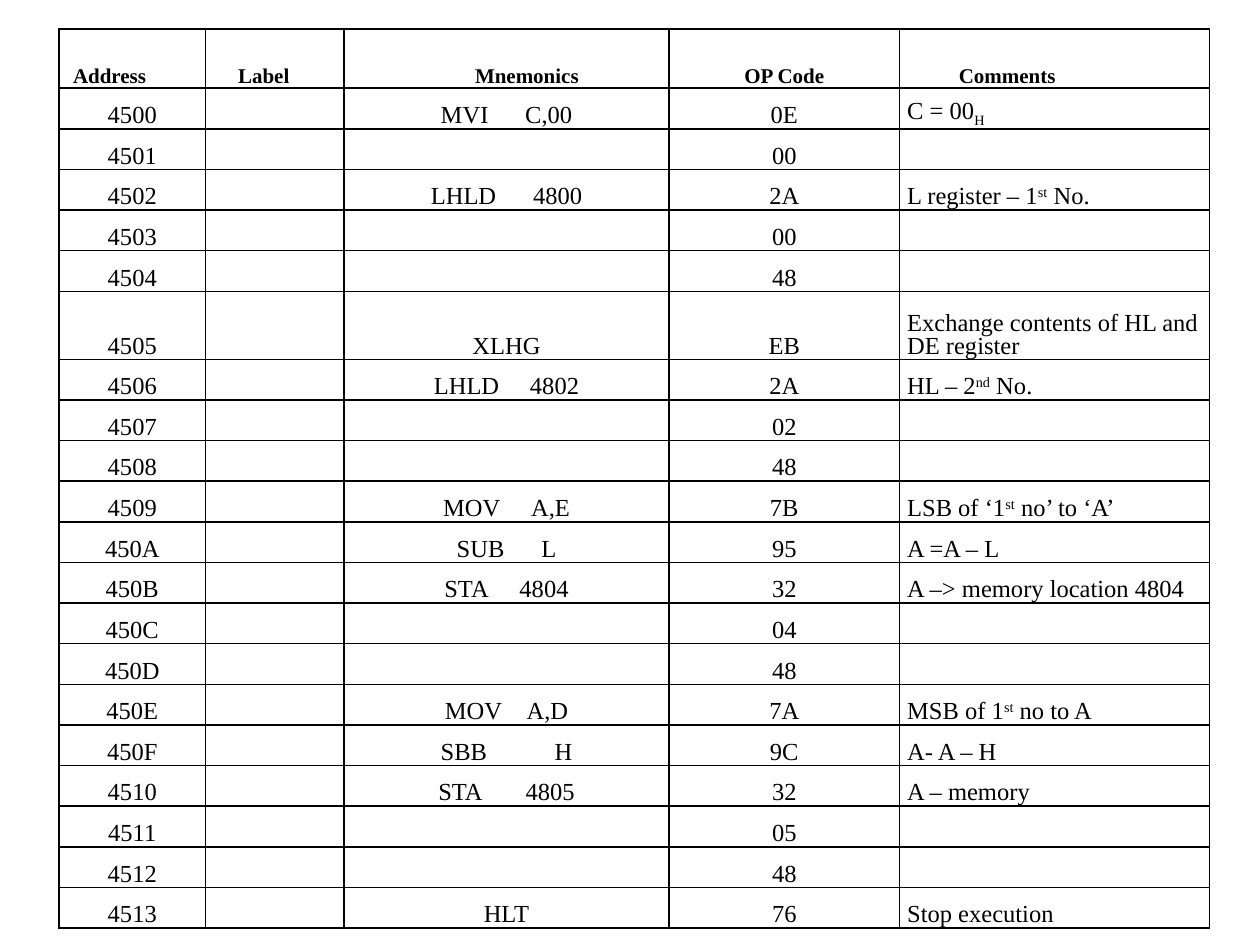
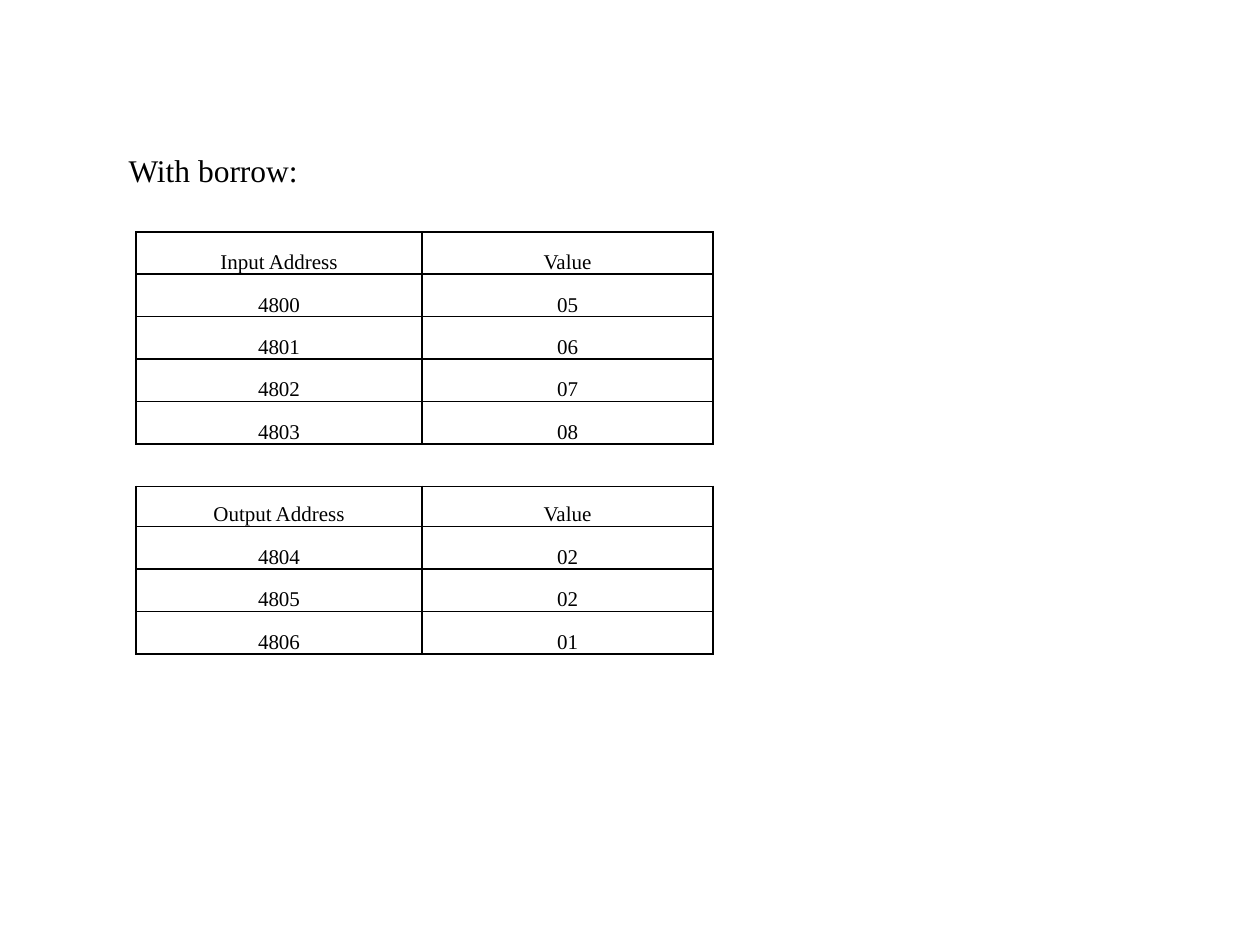
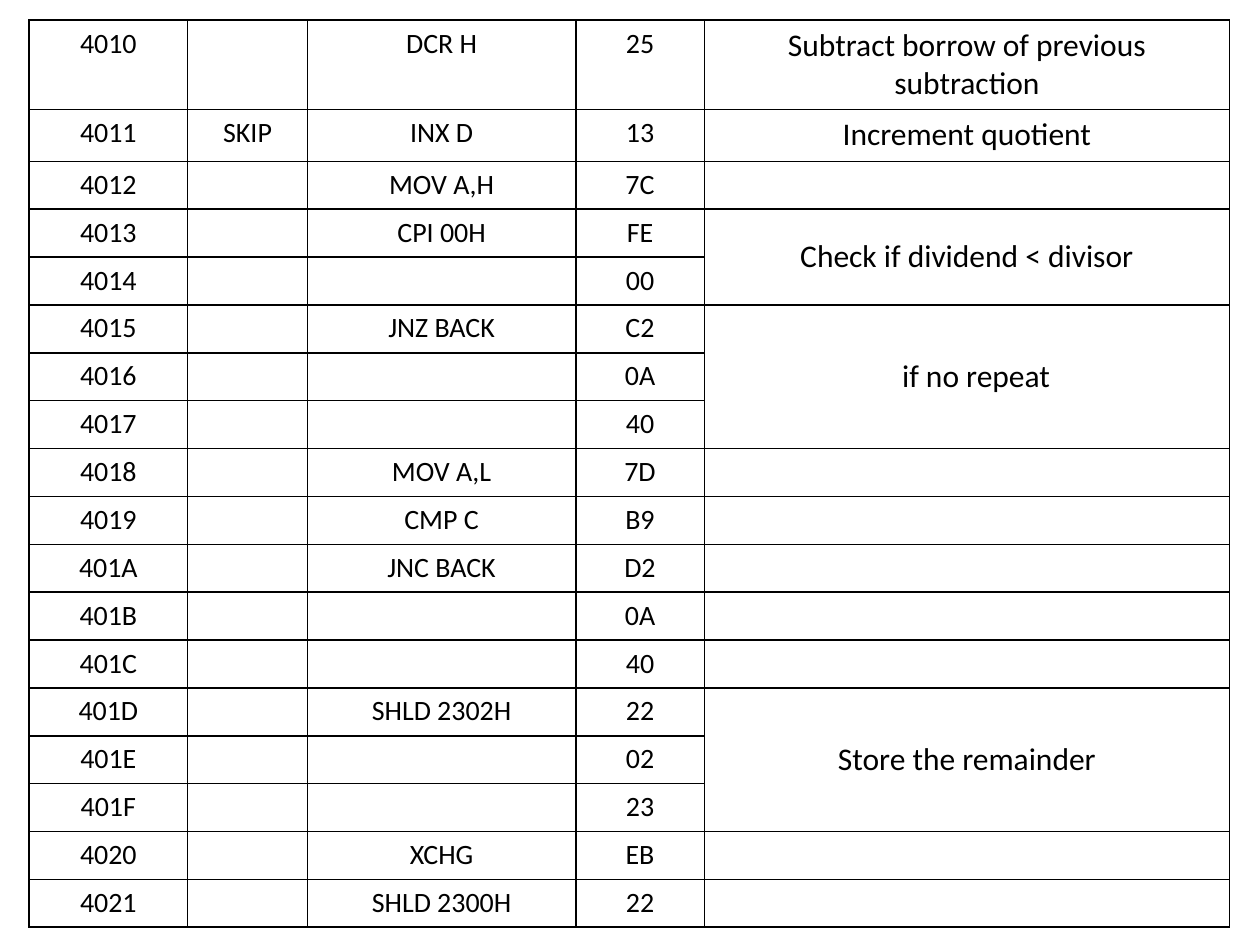
from dataclasses import dataclass, replace
from lxml.etree import SubElement
from pptx import Presentation
from pptx.dml.color import RGBColor
from pptx.enum.text import MSO_ANCHOR as Anchor, PP_ALIGN as Align
from pptx.oxml.ns import qn
from pptx.util import Inches, Pt

INK = "000000"
NO_GRID = "{2D5ABB26-0587-4C30-8999-92F81FD0307C}"
MARKS = {"^": "30000", "_": "-25000"}


@dataclass
class Look:
    """Text style of a table cell."""
    face: str = "Times New Roman"
    size: int = 14
    bold: bool = False
    align: Align = Align.CENTER
    indent: float = 0
    lead: object = Pt(13)
    anchor: Anchor = Anchor.BOTTOM
    pad: tuple = (0, 0, 0, 0)


BODY = Look()
NOTE = replace(BODY, align=Align.LEFT, indent=0.06)
HEAD = replace(BODY, size=12, bold=True, lead=1.15)
SMALL = replace(BODY, size=12)
TITLE = Look(size=18, align=Align.LEFT, lead=1.15, pad=(0, 0, 0, 0.34))
PLAIN = Look("Calibri", 16, lead=None, anchor=Anchor.TOP, pad=(0.1, 0.05, 0.1, 0.05))
LARGE = replace(PLAIN, size=18)

HEADS = [("Address", 0.11), ("Label", 0.26), ("Mnemonics", 1.04),
         ("OP Code", None), ("Comments", 0.47)]
BORROW = [
    ("MVI C,00", 6, "0E", "C = 00_H"), ("", 1, "00", ""),
    ("LHLD 4800", 6, "2A", "L register – 1^st^ No."), ("", 1, "00", ""),
    ("", 1, "48", ""),
    ("XLHG", 1, "EB", "Exchange contents of HL and DE register"),
    ("LHLD 4802", 5, "2A", "HL – 2^nd^ No."), ("", 1, "02", ""),
    ("", 1, "48", ""), ("MOV A,E", 5, "7B", "LSB of ‘1^st^ no’ to ‘A’"),
    ("SUB L", 6, "95", "A =A – L"),
    ("STA 4804", 5, "32", "A –> memory location 4804"),
    ("", 1, "04", ""), ("", 1, "48", ""),
    ("MOV A,D", 4, "7A", "MSB of 1^st^ no to A"),
    ("SBB H", 11, "9C", "A- A – H"), ("STA 4805", 7, "32", "A – memory"),
    ("", 1, "05", ""), ("", 1, "48", ""), ("HLT", 1, "76", "Stop execution"),
]
INPUT = [("Input Address", "Value"), ("4800", "05"), ("4801", "06"),
         ("4802", "07"), ("4803", "08")]
OUTPUT = [("Output Address", "Value"), ("4804", "02"), ("4805", "02"),
          ("4806", "01")]
DIVIDE = [
    ("", "DCR H", "25"), ("SKIP", "INX D", "13"), ("", "MOV A,H", "7C"),
    ("", "CPI 00H", "FE"), ("", "", "00"), ("", "JNZ BACK", "C2"),
    ("", "", "0A"), ("", "", "40"), ("", "MOV A,L", "7D"),
    ("", "CMP C", "B9"), ("", "JNC BACK", "D2"), ("", "", "0A"),
    ("", "", "40"), ("", "SHLD 2302H", "22"), ("", "", "02"),
    ("", "", "23"), ("", "XCHG", "EB"), ("", "SHLD 2300H", "22"),
]
REMARKS = {
    0: ("Subtract borrow of previous subtraction", 1),
    1: ("Increment quotient", 1),
    3: ("Check if dividend < divisor", 2),
    5: ("if no repeat", 3),
    13: ("Store the remainder", 3),
}


def paint(text):
    """Turn a hex string into a colour."""
    return RGBColor.from_string(text)


def split(text, gap, size):
    """Cut text into runs with the attributes that set each one apart."""
    for mark, base in MARKS.items():
        if mark in text:
            return [(part, {"baseline": base} if i % 2 else {})
                    for i, part in enumerate(text.split(mark)) if part]
    if gap > 1:
        left, right = text.split(" ")
        wide = str((gap - 1) * size * 25)
        return [(left, {}), (" ", {"spc": wide}), (right, {})]
    return [(text, {})]


def write(cell, text, look, gap=1):
    """Put styled text into a cell."""
    cell.vertical_anchor = look.anchor
    (cell.margin_left, cell.margin_top, cell.margin_right,
     cell.margin_bottom) = map(Inches, look.pad)
    para = cell.text_frame.paragraphs[0]
    para.alignment = look.align
    if look.lead:
        para.line_spacing = look.lead
    if look.indent:
        props = para._p.get_or_add_pPr()
        props.set("marL", str(Inches(look.indent)))
        props.set("indent", "0")
    if not text:
        SubElement(para._p, qn("a:endParaRPr"), sz=str(look.size * 100))
        return
    for part, extra in split(text, gap, look.size):
        run = para.add_run()
        run.text = part
        font = run.font
        font.name, font.size, font.bold = look.face, Pt(look.size), look.bold
        font.color.rgb = paint(INK)
        for key, value in extra.items():
            font._element.set(key, value)


def frame(cell):
    """Draw the four borders of a cell."""
    props = cell._tc.get_or_add_tcPr()
    for i, side in enumerate("LRTB"):
        line = props.makeelement(qn("a:ln" + side), {"w": str(Pt(1))})
        props.insert(i, line)
        fill = SubElement(line, qn("a:solidFill"))
        SubElement(fill, qn("a:srgbClr"), val=INK)


def grid(slide, left, top, cols, rows, boxed=lambda row, col: True):
    """Add a clear table and border the cells that are boxed."""
    shape = slide.shapes.add_table(
        len(rows), len(cols), Inches(left), Inches(top),
        Inches(sum(cols)), Inches(sum(rows)))
    table = shape.table
    table.first_row = table.horz_banding = False
    table._tbl.tblPr.find(qn("a:tableStyleId")).text = NO_GRID
    for col, width in zip(table.columns, cols):
        col.width = Inches(width)
    for r, high in enumerate(rows):
        table.rows[r].height = Inches(high)
        for c in range(len(cols)):
            cell = table.cell(r, c)
            cell.fill.background()
            if boxed(r, c):
                frame(cell)
    return table


def code_page(slide, left, top, high):
    """Build the subtraction listing."""
    step = (high - 0.47 - 0.54) / (len(BORROW) - 1)
    rows = [0.47] + [step] * len(BORROW)
    rows[6] = 0.54
    table = grid(slide, left, top, [1.16, 1.1, 2.58, 1.83, 2.46], rows)
    for c, (text, indent) in enumerate(HEADS):
        look = HEAD if indent is None else replace(
            HEAD, align=Align.LEFT, indent=indent)
        write(table.cell(0, c), text, look)
    for r, (code, gap, byte, note) in enumerate(BORROW, 1):
        values = [f"{0x44FF + r:04X}", "", code, byte, note]
        for c, text in enumerate(values):
            write(table.cell(r, c), text, NOTE if c == 4 else BODY,
                  gap if c == 2 else 1)


def value_page(slide, left, top, high):
    """Build the input and output values under their heading."""
    lines = [("", "")] + INPUT + [("", "")] + OUTPUT
    step = (high - 1.06 - 0.32) / (len(lines) - 2)
    rows = [1.06] + [step] * (len(lines) - 1)
    rows[7] = 0.32
    table = grid(slide, left, top, [0.06, 2.27, 2.31, 3.1], rows,
                 lambda r, c: lines[r][0] and c in (1, 2))
    table.cell(0, 0).merge(table.cell(0, 1))
    write(table.cell(0, 0), "With borrow:", TITLE)
    for r, pair in enumerate(lines[1:], 1):
        for c, text in enumerate(["", *pair, ""]):
            write(table.cell(r, c), text, SMALL)


def divide_page(slide, left, top):
    """Build the division listing with its joined remarks."""
    rows = [0.71, 0.41] + [0.38] * (len(DIVIDE) - 2)
    table = grid(slide, left, top, [1.26, 0.95, 2.13, 1.02, 4.17], rows)
    for r, line in enumerate(DIVIDE):
        for c, text in enumerate([f"{0x4010 + r:04X}", *line]):
            write(table.cell(r, c), text, PLAIN)
        if r not in REMARKS:
            write(table.cell(r, 4), "", PLAIN)
            continue
        text, span = REMARKS[r]
        look = LARGE
        if span > 1:
            table.cell(r, 4).merge(table.cell(r + span - 1, 4))
            look = replace(LARGE, anchor=Anchor.MIDDLE)
        if r == 5:
            look = replace(look, align=Align.LEFT, indent=1.47)
        write(table.cell(r, 4), text, look)


def main():
    """Build and save the slides."""
    deck = Presentation()
    deck.slide_width, deck.slide_height = Inches(10), Inches(7.5)
    first, second, third = (
        deck.slides.add_slide(deck.slide_layouts[6]) for _ in range(3))
    code_page(first, 0.47, 0.23, 7.14)
    value_page(second, 1.02, 0.78, 4.41)
    divide_page(third, 0.23, 0.16)
    deck.save("out.pptx")


if __name__ == "__main__":
    main()
